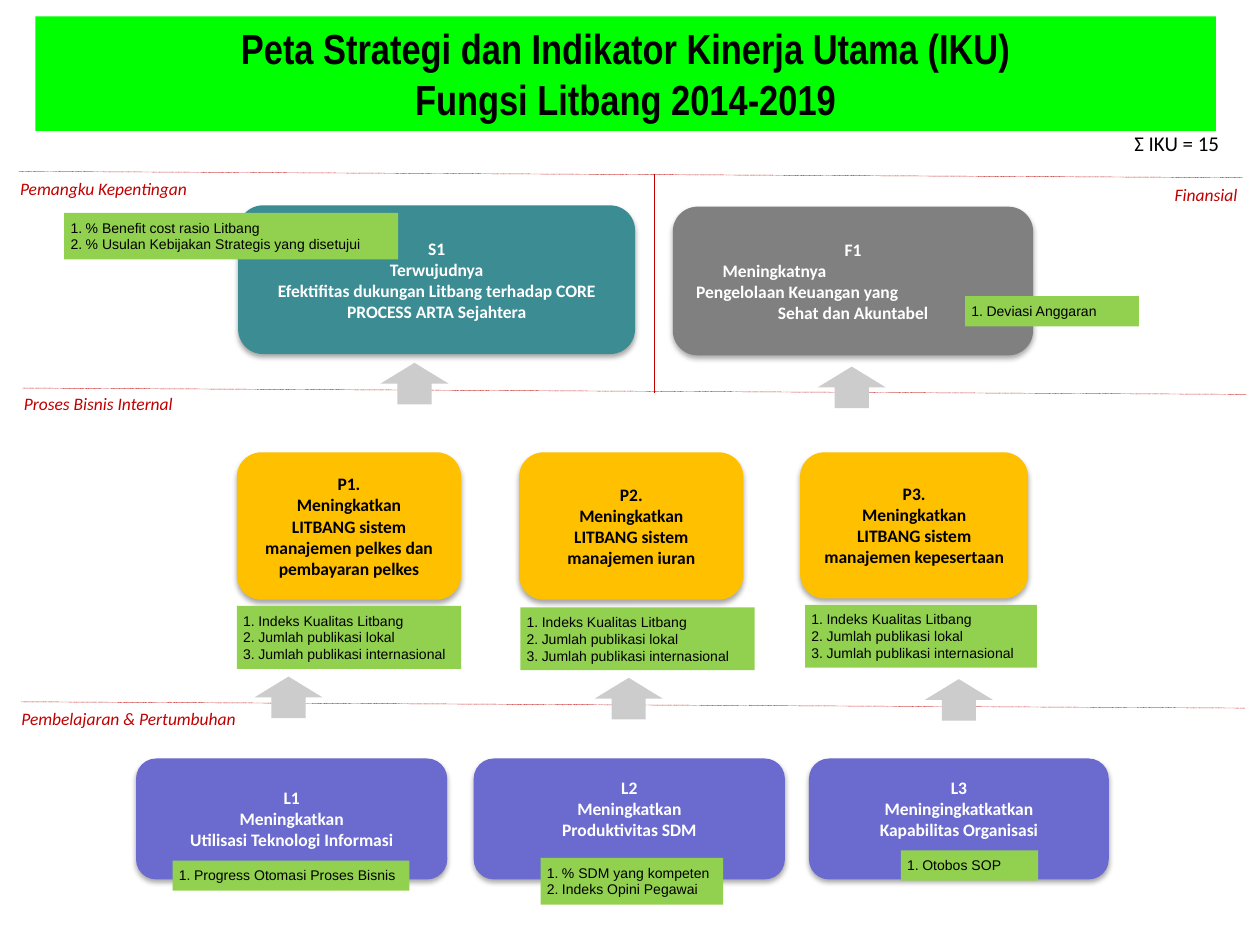
"""Build the strategy map slide of the research and development function."""
from lxml import etree
from pptx import Presentation
from pptx.dml.color import RGBColor
from pptx.enum.dml import MSO_LINE
from pptx.enum.shapes import MSO_CONNECTOR, MSO_SHAPE
from pptx.enum.text import MSO_ANCHOR, MSO_AUTO_SIZE, PP_ALIGN
from pptx.oxml.ns import qn
from pptx.util import Pt

PX = 9144
LEFT, CENTER, RIGHT = PP_ALIGN.LEFT, PP_ALIGN.CENTER, PP_ALIGN.RIGHT
TOP, MIDDLE = MSO_ANCHOR.TOP, MSO_ANCHOR.MIDDLE
RECT, ROUNDED, UP_ARROW = MSO_SHAPE.RECTANGLE, MSO_SHAPE.ROUNDED_RECTANGLE, MSO_SHAPE.UP_ARROW
STRAIGHT, DOTTED, NO_FIT = MSO_CONNECTOR.STRAIGHT, MSO_LINE.ROUND_DOT, MSO_AUTO_SIZE.NONE
TITLE_ONLY = 5

COLORS = {
    "title": "00FF00", "stakeholder": "3C8C93", "finance": "808080",
    "process": "FFC000", "learning": "6B6BCF", "indicator": "92D050",
    "arrow": "CCCCCC", "accent": "C00000", "black": "000000", "white": "FFFFFF",
}
PUBLICATION_INDICATORS = [
    "Indeks Kualitas Litbang", "Jumlah publikasi lokal", "Jumlah publikasi internasional",
]


def color(name):
    """Return the named colour."""
    return RGBColor.from_string(COLORS[name])


def place(region, box):
    """Turn a box relative to a region into EMU on the slide."""
    x, y, width, height = box
    return [n * PX for n in (region[0] + x, region[1] + y, width, height)]


def prepare_frame(frame, insets, anchor):
    """Set wrapping, anchor and insets (left, top, right, bottom)."""
    frame.word_wrap = True
    frame.auto_size = NO_FIT
    frame.vertical_anchor = anchor
    (frame.margin_left, frame.margin_top,
     frame.margin_right, frame.margin_bottom) = [n * PX for n in insets]


def write(frame, lines, font, size, ink, align=CENTER, bold=False, italic=False):
    """Write each line as a paragraph and return the paragraphs."""
    for index, line in enumerate(lines):
        paragraph = frame.paragraphs[0] if index == 0 else frame.add_paragraph()
        paragraph.alignment = align
        run = paragraph.add_run()
        run.text = line
        run.font.name, run.font.size = font, Pt(size)
        run.font.bold, run.font.italic = bold, italic
        run.font.color.rgb = color(ink)
    return frame.paragraphs


def indent(paragraph, left, first=0):
    """Set the left margin and the first-line indent of a paragraph."""
    properties = paragraph._p.get_or_add_pPr()
    properties.set("marL", str(left * PX))
    properties.set("indent", str(first * PX))
    return properties


def add_block(slide, region, box, kind, fill):
    """Add a filled shape without outline or shadow."""
    block = slide.shapes.add_shape(kind, *place(region, box))
    block.fill.solid()
    block.fill.fore_color.rgb = color(fill)
    block.line.fill.background()
    block.shadow.inherit = False
    return block


def add_objective(slide, region, box, fill, lines, ink="white", bottom=5):
    """Add a rounded objective card with a soft shadow."""
    card = add_block(slide, region, box, ROUNDED, fill)
    effects = card._element.spPr.find(qn("a:effectLst"))
    shadow = etree.SubElement(effects, qn("a:outerShdw"), blurRad=str(Pt(3.1)),
                              dist=str(Pt(1.8)), dir="5400000", rotWithShape="0")
    tint = etree.SubElement(shadow, qn("a:srgbClr"), val=COLORS["black"])
    etree.SubElement(tint, qn("a:alpha"), val="35000")
    prepare_frame(card.text_frame, (10, 5, 10, bottom), MIDDLE)
    return write(card.text_frame, lines, "Calibri", 10, ink, bold=True)


def add_indicators(slide, region, box, lines):
    """Add a numbered list of indicators."""
    panel = add_block(slide, region, box, RECT, "indicator")
    prepare_frame(panel.text_frame, (5, 5, 5, 5), TOP)
    for paragraph in write(panel.text_frame, lines, "Arial", 8, "black", LEFT):
        properties = indent(paragraph, 12, -12)
        etree.SubElement(properties, qn("a:buFont"), typeface="+mj-lt")
        etree.SubElement(properties, qn("a:buAutoNum"), type="arabicPeriod")


def add_caption(slide, region, box, text, align=LEFT):
    """Add the italic name of a perspective."""
    caption = slide.shapes.add_textbox(*place(region, box))
    prepare_frame(caption.text_frame, (0, 0, 0, 0), TOP)
    write(caption.text_frame, [text], "Calibri", 10, "accent", align, italic=True)


def add_rule(slide, region, start, end):
    """Add a dotted hairline between two points of a region."""
    ends = [(region[i % 2] + n) * PX for i, n in enumerate(start + end)]
    rule = slide.shapes.add_connector(STRAIGHT, *ends)
    rule.line.color.rgb = color("accent")
    rule.line.width = Pt(0.25)
    rule.line.dash_style = DOTTED
    etree.SubElement(rule._element.spPr, qn("a:effectLst"))


def add_arrows(slide, region, corners):
    """Add the upward arrows leading to the perspective above."""
    for x, y in corners:
        add_block(slide, region, (x, y, 54, 33), UP_ARROW, "arrow")


def build_header(slide, region):
    """Format the title and add the indicator total below it."""
    title = slide.shapes.title
    title.left, title.top, title.width, title.height = place(region, (0, 0, 937, 91))
    title.fill.solid()
    title.fill.fore_color.rgb = color("title")
    prepare_frame(title.text_frame, (10, 5, 10, 5), TOP)
    write(title.text_frame,
          ["Peta Strategi dan Indikator Kinerja Utama (IKU)", "Fungsi Litbang 2014-2019"],
          "Arial Narrow", 24, "black", bold=True)
    total = slide.shapes.add_textbox(*place(region, (858, 86, 96, 30)))
    prepare_frame(total.text_frame, (10, 5, 10, 5), TOP)
    write(total.text_frame, ["Ʃ IKU = 15"], "Calibri", 12, "black")


def build_outcomes(slide, region):
    """Place the stakeholder and financial perspectives side by side."""
    add_rule(slide, region, (0, 0), (region[2], 5))
    add_rule(slide, region, (504, 2), (504, region[3]))
    add_caption(slide, region, (1, 5, 166, 17), "Pemangku Kepentingan")
    add_caption(slide, region, (902, 10, 65, 17), "Finansial", RIGHT)
    add_objective(slide, region, (174, 27, 315, 118), "stakeholder", [
        "S1", "Terwujudnya",
        "Efektifitas dukungan Litbang terhadap CORE PROCESS ARTA Sejahtera"])
    finance = add_objective(slide, region, (519, 28, 286, 118), "finance", [
        "F1", "Meningkatnya", "Pengelolaan Keuangan yang", "Sehat dan Akuntabel"])
    for paragraph, left in zip(finance[1:3], (24, 3)):
        paragraph.alignment = LEFT
        indent(paragraph, left)
    add_indicators(slide, region, (36, 33, 265, 37), [
        "% Benefit cost rasio Litbang", "% Usulan Kebijakan Strategis yang disetujui"])
    add_indicators(slide, region, (751, 99, 138, 24), ["Deviasi Anggaran"])


def build_process(slide, region):
    """Place the internal process perspective."""
    add_rule(slide, region, (0, 0), (region[2], 5))
    add_caption(slide, region, (1, 4, 166, 17), "Proses Bisnis Internal")
    add_arrows(slide, region, [(284, -20), (631, -17)])
    systems = [
        ((170, 51, 178, 117), (170, 173, 178, 50), "manajemen pelkes dan pembayaran pelkes"),
        ((394, 51, 178, 117), (395, 174, 186, 50), "manajemen iuran"),
        ((617, 51, 181, 116), (621, 172, 184, 50), "manajemen kepesertaan"),
    ]
    for number, (card, panel, system) in enumerate(systems, 1):
        add_objective(slide, region, card, "process", [
            f"P{number}.", "Meningkatkan", f"LITBANG sistem {system}"], "black")
        add_indicators(slide, region, panel, PUBLICATION_INDICATORS)


def build_learning(slide, region):
    """Place the learning and growth perspective."""
    add_rule(slide, region, (0, 0), (region[2], 5))
    add_caption(slide, region, (-5, 5, 180, 17), "Pembelajaran & Pertumbuhan", CENTER)
    add_arrows(slide, region, [(185, -20), (455, -19), (717, -18)])
    goals = [
        (91, 247, 5, "Meningkatkan", "Utilisasi Teknologi Informasi",
         (120, 126, 188, 24), ["Progress Otomasi Proses Bisnis"]),
        (359, 247, 22, "Meningkatkan", "Produktivitas SDM",
         (412, 124, 145, 37), ["% SDM yang kompeten", "Indeks Opini Pegawai"]),
        (625, 238, 22, "Meningingkatkatkan", "Kapabilitas Organisasi",
         (698, 118, 109, 24), ["Otobos SOP"]),
    ]
    for number, (x, width, bottom, verb, goal, panel, indicators) in enumerate(goals, 1):
        add_objective(slide, region, (x, 45, width, 96), "learning",
                      [f"L{number}", verb, goal], bottom=bottom)
        add_indicators(slide, region, panel, indicators)


def main():
    """Assemble and save the slide."""
    deck = Presentation()
    deck.slide_width, deck.slide_height = 1000 * PX, 750 * PX
    slide = deck.slides.add_slide(deck.slide_layouts[TITLE_ONLY])
    build_header(slide, (28, 13, 937, 116))
    build_outcomes(slide, (15, 136, 971, 175))
    build_process(slide, (18, 308, 971, 249))
    build_learning(slide, (17, 557, 971, 161))
    deck.save("out.pptx")


if __name__ == "__main__":
    main()
